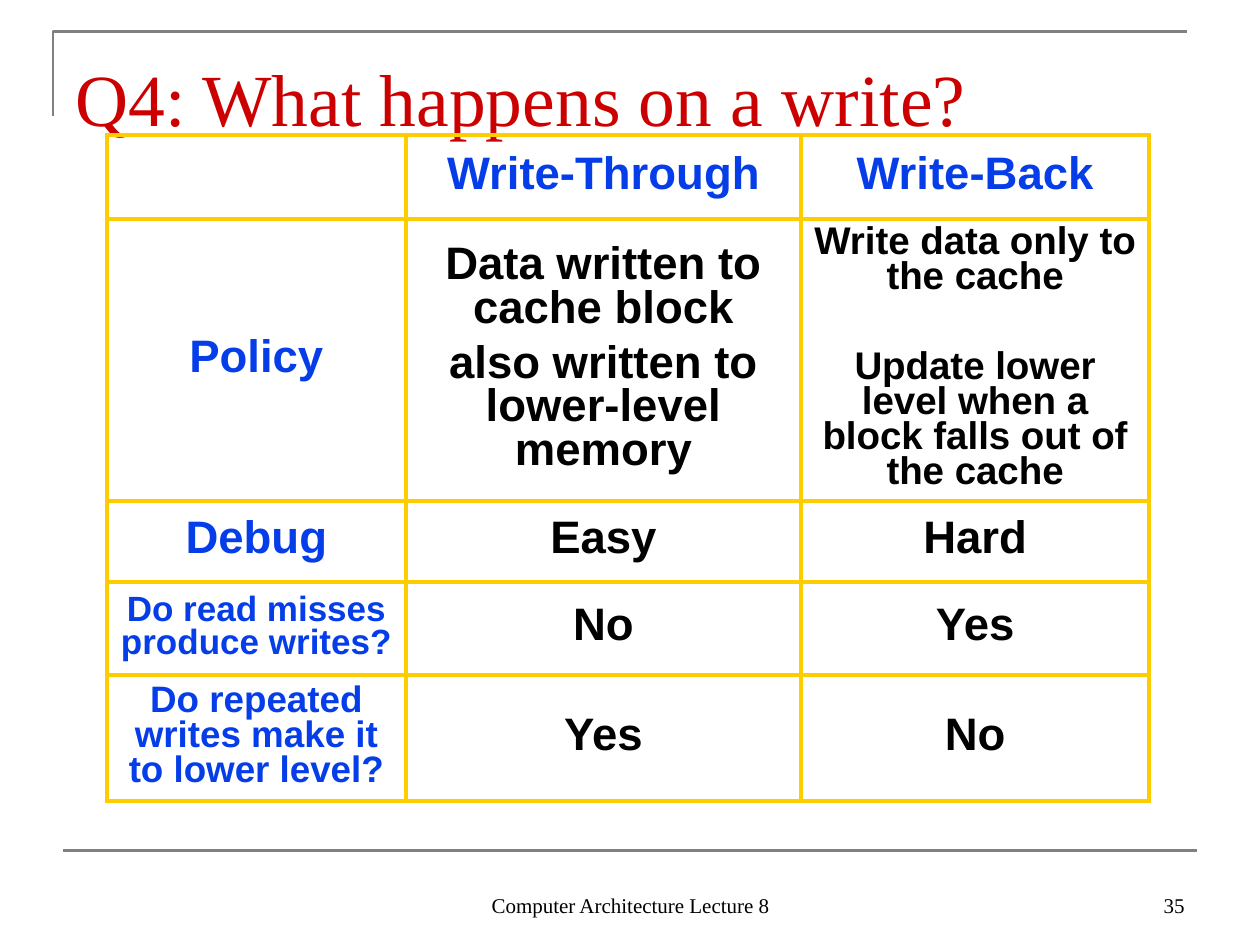
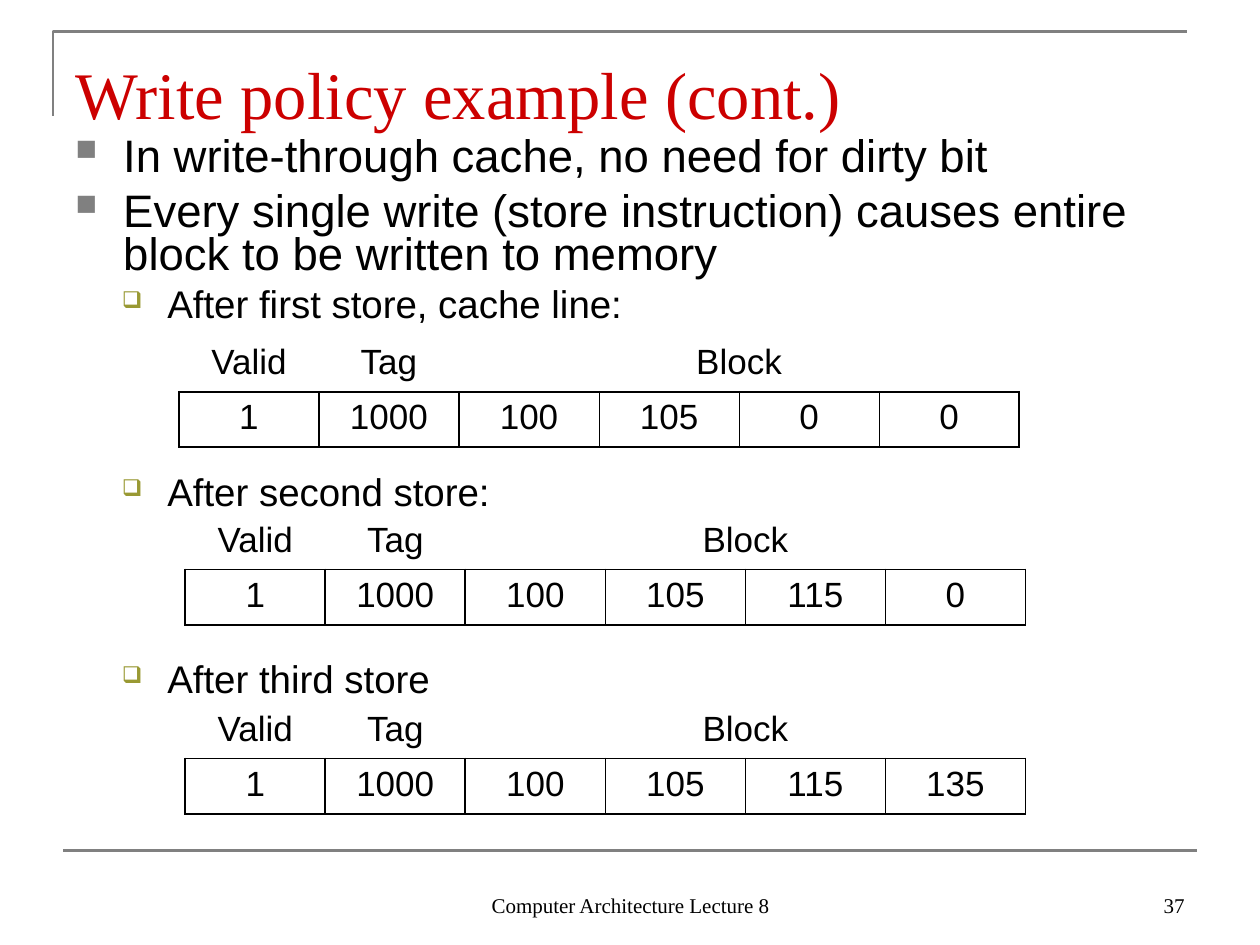
from lxml.etree import SubElement
from pptx import Presentation
from pptx.dml.color import RGBColor
from pptx.enum.shapes import MSO_CONNECTOR
from pptx.enum.text import MSO_ANCHOR, PP_ALIGN
from pptx.oxml.ns import qn
from pptx.util import Inches, Pt

RED = RGBColor(0xCC, 0x00, 0x00)
BLUE = RGBColor(0x05, 0x3D, 0xE8)
GOLD = RGBColor(0xFF, 0xCC, 0x00)
GRAY = RGBColor(0x80, 0x80, 0x80)
OLIVE = RGBColor(0x99, 0x99, 0x33)
BLACK = RGBColor(0x00, 0x00, 0x00)
SERIF, SANS = "Times New Roman", "Arial"
NO_STYLE = "{2D5ABB26-0587-4C30-8999-92F81FD0307C}"

deck = Presentation()
deck.slide_width, deck.slide_height = Inches(10), Inches(7.5)


def write(para, text, size, color, font=SANS, bold=False, align=PP_ALIGN.LEFT):
    para.text = text
    para.alignment = align
    para.font.name, para.font.size, para.font.bold = font, Pt(size), bold
    para.font.color.rgb = color


def border(cell, sides, color, width):
    for side in sides:
        line = SubElement(cell._tc.get_or_add_tcPr(), qn(f"a:ln{side}"), w=str(Pt(width)))
        fill = SubElement(line, qn("a:solidFill"))
        SubElement(fill, qn("a:srgbClr"), val=str(color))


pages = []
for title, title_size, number in [
    ("Q4: What happens on a write?", 42, "35"),
    ("Write policy example (cont.)", 38, "37"),
]:
    page = deck.slides.add_slide(deck.slide_layouts[6])
    pages.append(page)

    outline = page.shapes.build_freeform(Inches(0.42), Inches(0.92))
    outline.add_line_segments(
        [(Inches(0.42), Inches(0.25)), (Inches(9.42), Inches(0.25))], close=False
    )
    corner = outline.convert_to_shape()
    corner.shadow.inherit = False
    corner.fill.background()
    rule = page.shapes.add_connector(
        MSO_CONNECTOR.STRAIGHT, Inches(0.5), Inches(6.75), Inches(9.5), Inches(6.75)
    )
    SubElement(rule._element.spPr, qn("a:effectLst"))
    for stroke in (corner, rule):
        stroke.line.color.rgb = GRAY
        stroke.line.width = Pt(1.5)

    for left, top, width, height, text, size, color, align, anchor in [
        (3.42, 6.83, 3.17, 0.5, "Computer Architecture Lecture 8", 12, BLACK,
         PP_ALIGN.CENTER, MSO_ANCHOR.BOTTOM),
        (7.17, 6.83, 2.33, 0.5, number, 12, BLACK, PP_ALIGN.RIGHT, MSO_ANCHOR.BOTTOM),
        (0.5, 0.3, 9, 0.78, title, title_size, RED, PP_ALIGN.LEFT, MSO_ANCHOR.TOP),
    ]:
        box = page.shapes.add_textbox(Inches(left), Inches(top), Inches(width), Inches(height))
        box.text_frame.word_wrap = True
        box.text_frame.vertical_anchor = anchor
        write(box.text_frame.paragraphs[0], text, size, color, SERIF, align=align)
    box.text_frame.margin_top = Inches(0.12)

policy_page, example_page = pages

policy_rows = [
    (0.67, [(), ("Write-Through",), ("Write-Back",)], (26, 26, 26)),
    (2.24, [("Policy",),
            ("Data written to cache block", "also written to lower-level memory"),
            ("Write data only to the cache",
             "Update lower level when a block falls out of the cache")], (26, 26, 22)),
    (0.64, [("Debug",), ("Easy",), ("Hard",)], (26, 26, 26)),
    (0.74, [("Do read misses produce writes?",), ("No",), ("Yes",)], (20, 26, 26)),
    (1, [("Do repeated writes make it to lower level?",), ("Yes",), ("No",)], (21, 26, 26)),
]
line_heights = {26: 25, 22: 20, 21: 20, 20: 19}
paragraph_gaps = {26: 6.5, 22: 31}

frame = policy_page.shapes.add_table(
    len(policy_rows), 3, Inches(0.85), Inches(1.07), Inches(8.27), Inches(5.29)
)
policy = frame.table
policy._tbl.tblPr.find(qn("a:tableStyleId")).text = NO_STYLE
policy.first_row = policy.horz_banding = False
for column, width in zip(policy.columns, (2.37, 3.14, 2.76)):
    column.width = Inches(width)
for row_index, (height, texts, sizes) in enumerate(policy_rows):
    policy.rows[row_index].height = Inches(height)
    for column_index, (lines, size) in enumerate(zip(texts, sizes)):
        cell = policy.cell(row_index, column_index)
        border(cell, "LRTB", GOLD, 2.5)
        cell.fill.background()
        cell.vertical_anchor = MSO_ANCHOR.MIDDLE
        color = BLUE if row_index == 0 or column_index == 0 else BLACK
        for index, text in enumerate(lines):
            para = cell.text_frame.paragraphs[0] if index == 0 else cell.text_frame.add_paragraph()
            para.line_spacing = Pt(line_heights[size])
            if index:
                para.space_before = Pt(paragraph_gaps[size])
            write(para, text, size, color, bold=True, align=PP_ALIGN.CENTER)

body = example_page.shapes.add_textbox(Inches(0.5), Inches(1), Inches(9), Inches(4.92))
body.text_frame.word_wrap = True
body.text_frame.margin_top = Inches(0.09)
levels = [
    (0.38, -0.38, "■", GRAY, 65, 26),
    (0.73, -0.36, "❑", OLIVE, 60, 22),
]
for index, (text, level, gap) in enumerate([
    ("In write-through cache, no need for dirty bit", 0, 0),
    ("Every single write (store instruction) causes entire block to be written to memory", 0, 6.5),
    ("After first store, cache line:", 1, 5.5),
    ("After second store:", 1, 86),
    ("After third store", 1, 86),
]):
    margin, indent, mark, mark_color, mark_size, size = levels[level]
    para = body.text_frame.paragraphs[0] if index == 0 else body.text_frame.add_paragraph()
    para.level = level
    para.line_spacing = 0.8
    para.space_before = Pt(gap)
    properties = para._p.get_or_add_pPr()
    properties.set("marL", str(Inches(margin)))
    properties.set("indent", str(Inches(indent)))
    SubElement(SubElement(properties, qn("a:buClr")), qn("a:srgbClr"), val=str(mark_color))
    SubElement(properties, qn("a:buSzPct"), val=str(mark_size * 1000))
    SubElement(properties, qn("a:buChar"), char=mark)
    write(para, text, size, BLACK)

for left, top, words in [
    (1.42, 2.67, ("100", "105", "0", "0")),
    (1.47, 4.08, ("100", "105", "115", "0")),
    (1.47, 5.58, ("100", "105", "115", "135")),
]:
    frame = example_page.shapes.add_table(
        2, 6, Inches(left), Inches(top), Inches(6.67), Inches(0.88)
    )
    cache_line = frame.table
    cache_line._tbl.tblPr.find(qn("a:tableStyleId")).text = NO_STYLE
    cache_line.first_row = cache_line.horz_banding = False
    cache_line.cell(0, 2).merge(cache_line.cell(0, 5))
    for row_index, texts in enumerate([("Valid", "Tag", "Block"), ("1", "1000", *words)]):
        for column_index, text in enumerate(texts):
            para = cache_line.cell(row_index, column_index).text_frame.paragraphs[0]
            write(para, text, 20, BLACK, align=PP_ALIGN.CENTER)
    for column_index in range(6):
        header, value = cache_line.cell(0, column_index), cache_line.cell(1, column_index)
        border(header, "B", BLACK, 1.08)
        border(value, "L", BLACK, 0.45 if column_index > 2 else 1.08)
        border(value, "R", BLACK, 0.45 if 2 <= column_index < 5 else 1.08)
        border(value, "TB", BLACK, 1.08)
        header.fill.background()
        value.fill.background()

deck.save("out.pptx")
